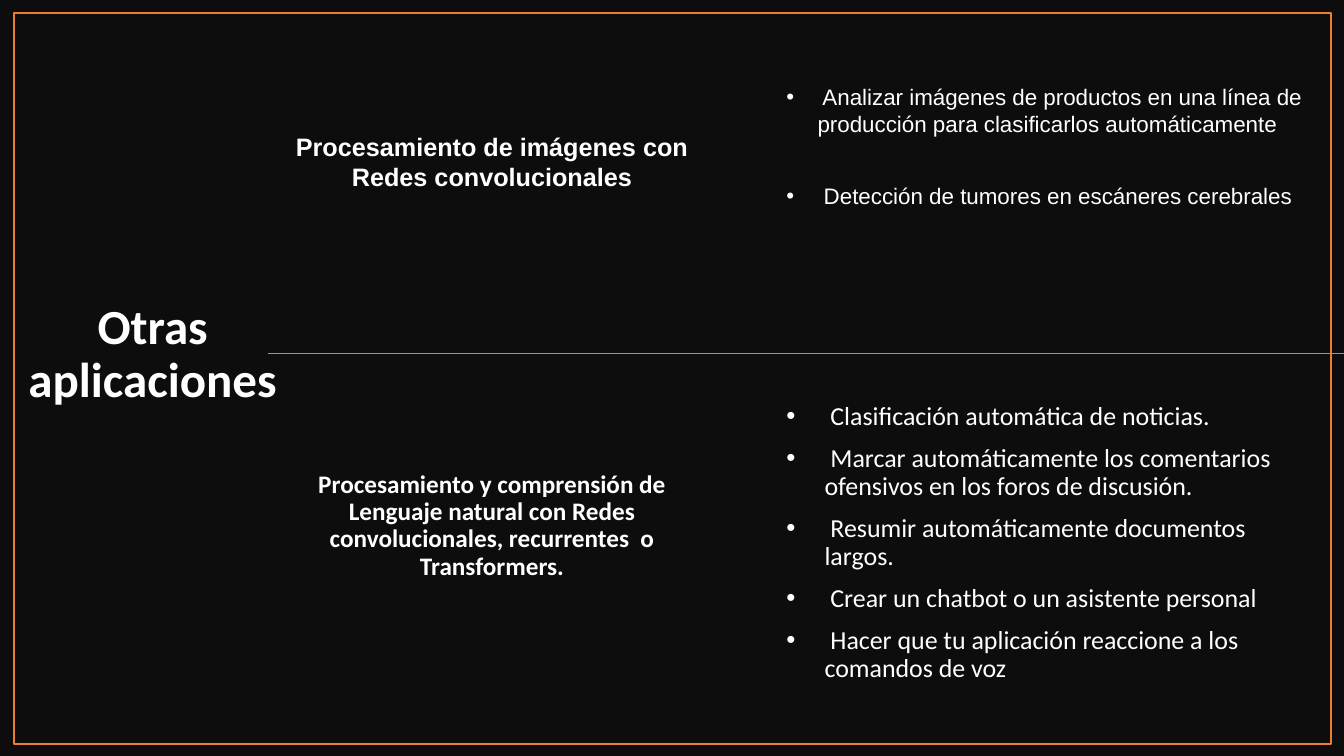
from dataclasses import dataclass

from lxml import etree
from pptx import Presentation
from pptx.dml.color import RGBColor
from pptx.enum.shapes import MSO_CONNECTOR, MSO_SHAPE
from pptx.enum.text import MSO_ANCHOR, PP_ALIGN
from pptx.oxml.ns import qn
from pptx.util import Inches, Pt

LEFT = PP_ALIGN.LEFT
CENTER = PP_ALIGN.CENTER
TOP = MSO_ANCHOR.TOP
BOTTOM = MSO_ANCHOR.BOTTOM
RECTANGLE = MSO_SHAPE.RECTANGLE
STRAIGHT = MSO_CONNECTOR.STRAIGHT

SLIDE_WIDTH, SLIDE_HEIGHT = 13.33, 7.5
BLACK, WHITE, ORANGE = "0D0D0D", "FFFFFF", "ED7D31"
HEADING_LEFT, HEADING_WIDTH = 2.75, 4.26
LIST_LEFT, LIST_WIDTH = 7.7, 5.32


@dataclass
class Topic:
    heading: str
    heading_top: float
    heading_height: float
    items: list[str]
    list_top: float
    list_height: float
    font: str
    item_size: float
    indent: float
    line_spacing: float
    item_gap: float


TOPICS = [
    Topic(
        heading="Procesamiento de imágenes con Redes convolucionales",
        heading_top=1.25,
        heading_height=0.71,
        items=[
            " Analizar imágenes de productos en una línea de producción para clasificarlos automáticamente",
            " Detección de tumores en escáneres cerebrales",
        ],
        list_top=0.78,
        list_height=2,
        font="Arial",
        item_size=16,
        indent=0.31,
        line_spacing=1,
        item_gap=32,
    ),
    Topic(
        heading="Procesamiento y comprensión de Lenguaje natural con Redes "
        "convolucionales, recurrentes  o Transformers.",
        heading_top=4.63,
        heading_height=1.19,
        items=[
            " Clasificación automática de noticias.",
            " Marcar automáticamente los comentarios ofensivos en los foros de discusión.",
            " Resumir automáticamente documentos largos.",
            " Crear un chatbot o un asistente personal",
            " Hacer que tu aplicación reaccione a los comandos de voz",
        ],
        list_top=3.95,
        list_height=2.99,
        font="Calibri",
        item_size=18.5,
        indent=0.38,
        line_spacing=0.9,
        item_gap=10,
    ),
]


def color(value: str) -> RGBColor:
    return RGBColor.from_string(value)


def add_bullet(paragraph, indent: float) -> None:
    properties = paragraph._p.get_or_add_pPr()
    properties.set("marL", str(Inches(indent)))
    properties.set("indent", str(-Inches(indent)))
    etree.SubElement(properties, qn("a:buFont")).set("typeface", "Arial")
    etree.SubElement(properties, qn("a:buChar")).set("char", "•")


def add_text(slide, paragraphs: list[str], left: float, top: float, width: float, height: float, *,
             font: str, size: float, bold: bool = False, align=LEFT, anchor=TOP,
             line_spacing: float = 1, gap: float = 0, bullet_indent: float = 0) -> None:
    box = slide.shapes.add_textbox(Inches(left), Inches(top), Inches(width), Inches(height))
    frame = box.text_frame
    frame.word_wrap = True
    frame.vertical_anchor = anchor
    for index, text in enumerate(paragraphs):
        paragraph = frame.add_paragraph() if index else frame.paragraphs[0]
        paragraph.text = text
        paragraph.alignment = align
        paragraph.line_spacing = line_spacing
        paragraph.space_before = Pt(gap if index else 0)
        if bullet_indent:
            add_bullet(paragraph, bullet_indent)
        for run in paragraph.runs:
            run.font.name = font
            run.font.size = Pt(size)
            run.font.bold = bold
            run.font.color.rgb = color(WHITE)


def add_rectangle(slide, left: float, top: float, width: float, height: float, *,
                  fill: str = "", line: str = "") -> None:
    shape = slide.shapes.add_shape(RECTANGLE, Inches(left), Inches(top), Inches(width), Inches(height))
    shape.shadow.inherit = False
    if fill:
        shape.fill.solid()
        shape.fill.fore_color.rgb = color(fill)
    else:
        shape.fill.background()
    if line:
        shape.line.color.rgb = color(line)
        shape.line.width = Pt(1)
    else:
        shape.line.fill.background()


def add_divider(slide, start: float, end: float, top: float) -> None:
    divider = slide.shapes.add_connector(STRAIGHT, Inches(start), Inches(top), Inches(end), Inches(top))
    divider.line.color.rgb = color(ORANGE)
    divider.line.width = Pt(1)
    etree.SubElement(divider._element.spPr, qn("a:effectLst"))


def add_topic(slide, topic: Topic) -> None:
    add_text(slide, [topic.heading], HEADING_LEFT, topic.heading_top, HEADING_WIDTH, topic.heading_height,
             font=topic.font, size=18, bold=True, align=CENTER, line_spacing=topic.line_spacing)
    add_text(slide, topic.items, LIST_LEFT, topic.list_top, LIST_WIDTH, topic.list_height,
             font=topic.font, size=topic.item_size, line_spacing=topic.line_spacing,
             gap=topic.item_gap, bullet_indent=topic.indent)


def main() -> None:
    presentation = Presentation()
    presentation.slide_width = Inches(SLIDE_WIDTH)
    presentation.slide_height = Inches(SLIDE_HEIGHT)
    slide = presentation.slides.add_slide(presentation.slide_layouts[6])
    add_rectangle(slide, 0, 0, SLIDE_WIDTH, SLIDE_HEIGHT, fill=BLACK)
    add_text(slide, ["Otras \vaplicaciones "], 0.14, 2.91, 2.86, 1.19, font="Calibri", size=35,
             bold=True, align=CENTER, anchor=BOTTOM, line_spacing=0.9)
    add_rectangle(slide, 0.14, 0.13, 13.06, 7.25, line=ORANGE)
    add_divider(slide, SLIDE_WIDTH, 2.66, 3.51)
    for topic in TOPICS:
        add_topic(slide, topic)
    presentation.save("out.pptx")


if __name__ == "__main__":
    main()
